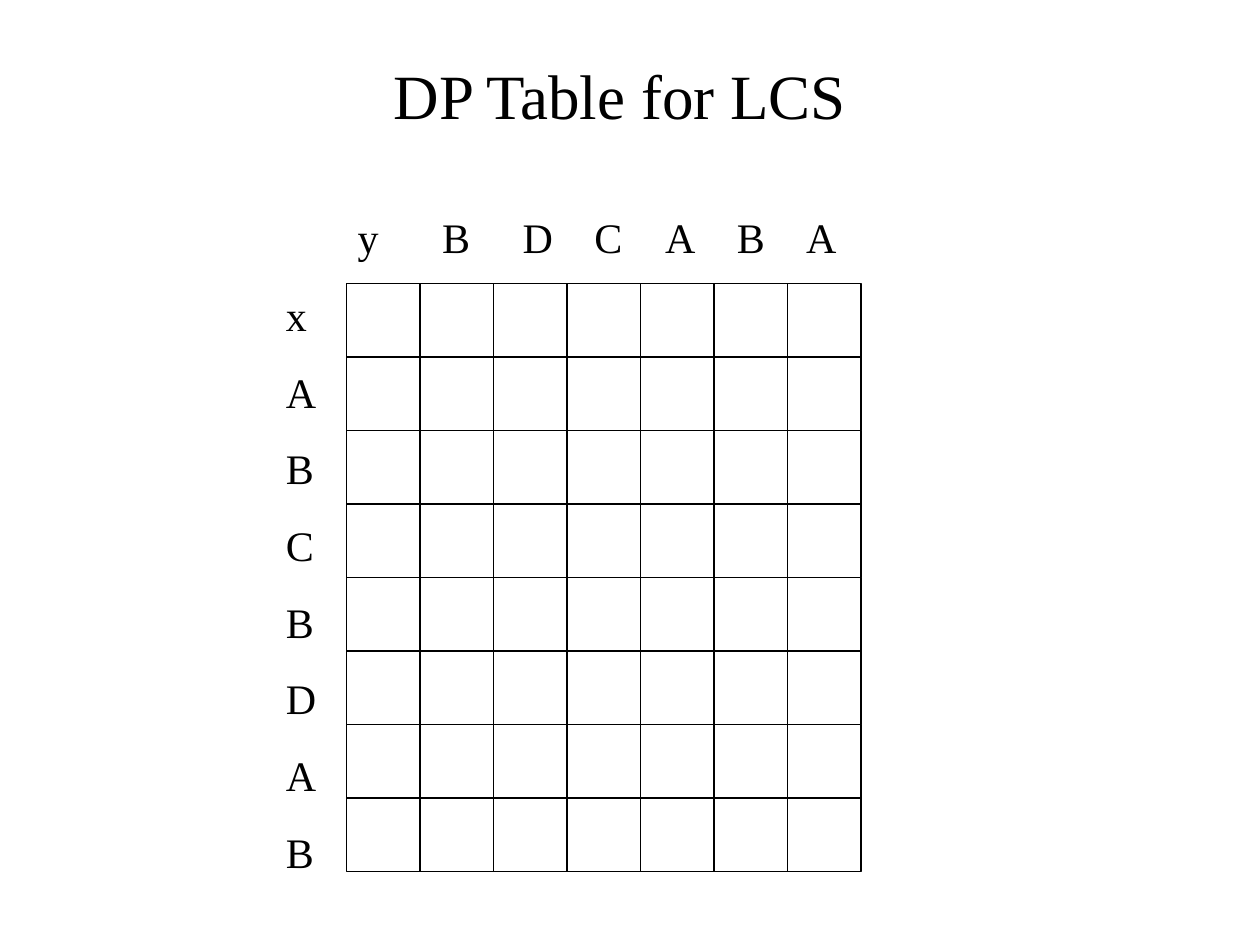
from lxml import etree
from pptx import Presentation
from pptx import util as u
from pptx.dml.color import RGBColor
from pptx.enum import shapes, text
from pptx.oxml import ns

COLORS = {"ink": "000000"}
FONT = "Times New Roman"
X_LABELS = ["x", *"ABCBDAB"]
Y_LABELS = ["y", *"BDCABA"]
Y_TAB_STOPS = [0.67, 1.31, 1.88, 2.44, 3.01, 3.56]
CELL = 3.5 / 6


def add_text(page, left, top, width, height, lines, size):
    """Add a wrapped text box with one paragraph per line and return its frame."""
    box = page.shapes.add_textbox(*map(u.Inches, (left, top, width, height)))
    frame = box.text_frame
    frame.word_wrap = True
    frame.text = "\n".join(lines)
    for para in frame.paragraphs:
        para.font.name = FONT
        para.font.size = u.Pt(size)
        para.font.color.rgb = RGBColor.from_string(COLORS["ink"])
    return frame


def add_title(page, left, top, width, height):
    frame = add_text(page, left, top, width, height, ["DP Table for LCS"], 36)
    frame.vertical_anchor = text.MSO_ANCHOR.MIDDLE
    frame.paragraphs[0].alignment = text.PP_ALIGN.CENTER


def add_grid(page, left, top, rows, columns):
    for row in range(rows):
        for column in range(columns):
            cell = page.shapes.add_shape(
                shapes.MSO_SHAPE.RECTANGLE,
                u.Inches(left + column * CELL), u.Inches(top + row * CELL),
                u.Inches(CELL), u.Inches(CELL))
            cell.shadow.inherit = False
            cell.fill.background()
            cell.line.color.rgb = RGBColor.from_string(COLORS["ink"])
            cell.line.width = u.Pt(0.75)


def add_column_labels(page, left, top, width, height):
    frame = add_text(page, left, top, width, height, ["\t".join(Y_LABELS)], 24)
    properties = frame.paragraphs[0]._p.get_or_add_pPr()
    tabs = etree.Element(ns.qn("a:tabLst"))
    for stop in Y_TAB_STOPS:
        etree.SubElement(tabs, ns.qn("a:tab"), pos=str(u.Inches(stop)), algn="l")
    properties.insert(0, tabs)


def add_row_labels(page, left, top, width, height):
    frame = add_text(page, left, top, width, height, X_LABELS, 24)
    for para in frame.paragraphs:
        para.space_before = u.Pt(15)


def main():
    deck = Presentation()
    deck.slide_width, deck.slide_height = u.Inches(10), u.Inches(7.5)
    page = deck.slides.add_slide(deck.slide_layouts[6])
    add_title(page, 0.67, 0.33, 8.5, 0.83)
    add_grid(page, 2.75, 2.25, len(X_LABELS), len(Y_LABELS))
    add_column_labels(page, 2.74, 1.63, 4.1, 0.5)
    add_row_labels(page, 2.17, 2.25, 0.45, 4.76)
    deck.save("out.pptx")


if __name__ == "__main__":
    main()
